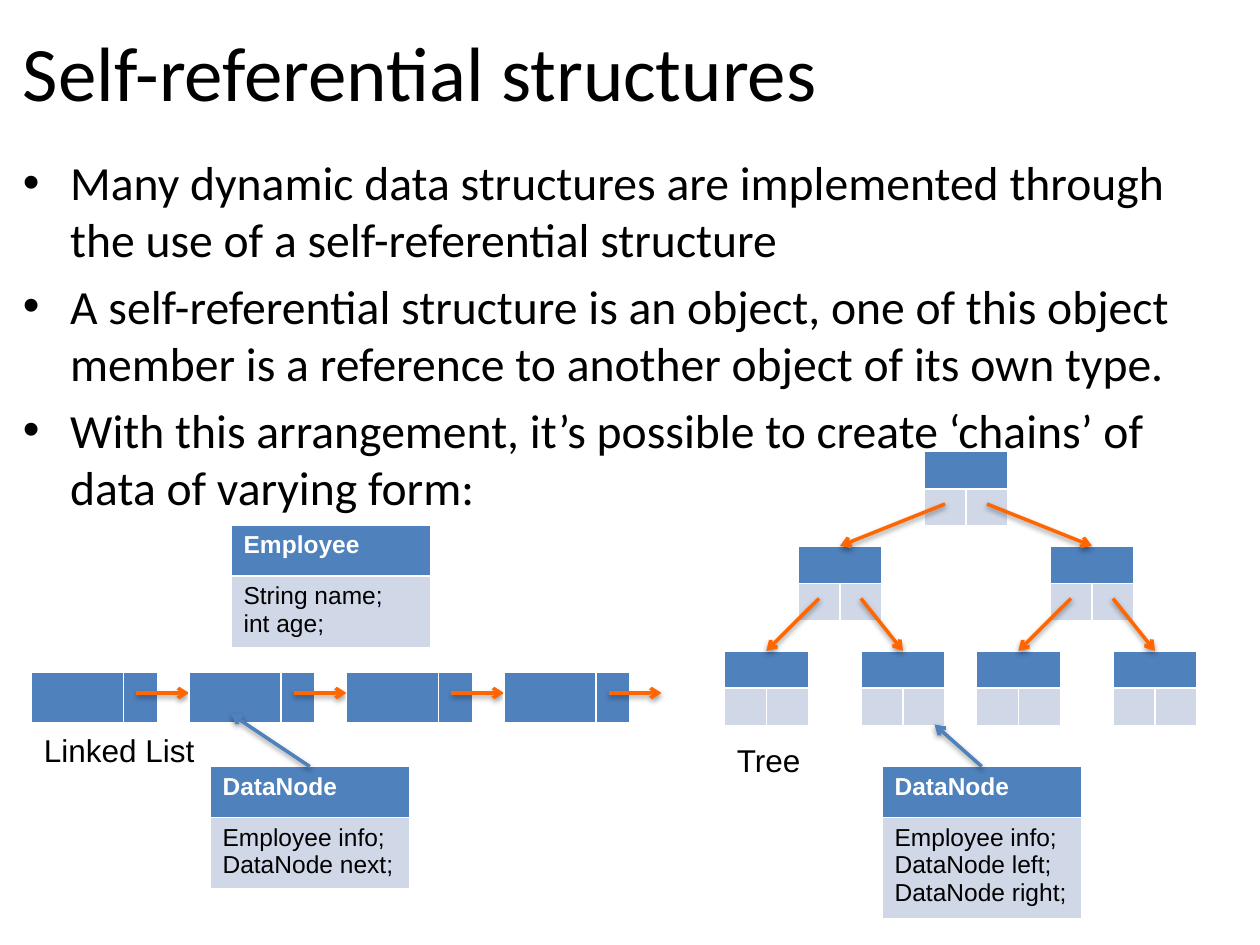
from lxml.etree import SubElement
from pptx import Presentation
from pptx.dml.color import RGBColor
from pptx.enum.shapes import MSO_CONNECTOR
from pptx.enum.text import MSO_ANCHOR
from pptx.oxml.ns import qn
from pptx.util import Pt

COLORS = {"blue": "4F81BD", "pale": "D0D8E8", "orange": "FF6600",
          "black": "000000", "white": "FFFFFF"}
HEAD = 29.25
POINTS = [
    "Many dynamic data structures are implemented through the use of a "
    "self-referential structure",
    "A self-referential structure is an object, one of this object member "
    "is a reference to another object of its own type.",
    "With this arrangement, it’s possible to create ‘chains’ of data of "
    "varying form:",
]


def color(name):
    return RGBColor.from_string(COLORS[name])


def style(para, size, face, tone="black", bold=False):
    font = para.font
    font.size, font.name, font.bold = Pt(size), face, bold
    font.color.rgb = color(tone)


def add_text(slide, box, lines, size, face, wrap=True):
    frame = slide.shapes.add_textbox(*map(Pt, box)).text_frame
    frame.word_wrap = wrap
    frame.text = "\n".join(lines)
    for para in frame.paragraphs:
        style(para, size, face)
    return frame


def add_bullets(slide, box):
    frame = add_text(slide, box, POINTS, 27.2, "Calibri")
    for para in frame.paragraphs:
        para.space_before = Pt(5.4)
        props = para._p.get_or_add_pPr()
        props.set("marL", str(Pt(27)))
        props.set("indent", str(-Pt(27)))
        font = SubElement(props, qn("a:buFont"), typeface="Arial")
        mark = SubElement(props, qn("a:buChar"), char="•")
        props.find(qn("a:defRPr")).addprevious(font)
        font.addnext(mark)


def add_grid(slide, x, y, cols, rows):
    """Add a table with a blue first row and pale rows below it."""
    table = slide.shapes.add_table(
        len(rows), len(cols), Pt(x), Pt(y), Pt(sum(cols)), Pt(sum(rows))).table
    for col, width in zip(table.columns, cols):
        col.width = Pt(width)
    for r, height in enumerate(rows):
        table.rows[r].height = Pt(height)
        for cell in table.rows[r].cells:
            cell.fill.solid()
            cell.fill.fore_color.rgb = color("pale" if r else "blue")
            # Small empty text keeps the row from growing
            SubElement(cell.text_frame.paragraphs[0]._p,
                       qn("a:endParaRPr"), sz="800")
    return table


def add_class(slide, x, y, name, fields):
    rows = [HEAD, 7.5 + 16.5 * len(fields)]
    table = add_grid(slide, x, y, [114], rows)
    for r, lines in enumerate([[name], fields]):
        frame = table.cell(r, 0).text_frame
        frame.text = "\n".join(lines)
        for para in frame.paragraphs:
            style(para, 14, "Arial", "black" if r else "white", not r)


def add_arrow(slide, start, end, tone="orange"):
    line = slide.shapes.add_connector(
        MSO_CONNECTOR.STRAIGHT, *map(Pt, (*start, *end)))
    line.line.width = Pt(2)
    line.line.color.rgb = color(tone)
    SubElement(line.line._get_or_add_ln(), qn("a:tailEnd"), type="arrow")
    effects = SubElement(line._element.spPr, qn("a:effectLst"))
    shadow = SubElement(effects, qn("a:outerShdw"), blurRad="40000",
                        dist="20000", dir="5400000", rotWithShape="0")
    tint = SubElement(shadow, qn("a:srgbClr"), val=COLORS["black"])
    SubElement(tint, qn("a:alpha"), val="38000")


def add_list(slide, x, y, count):
    for left in (x + 90 * i for i in range(count)):
        add_grid(slide, left, y, [52.5, 19.5], [HEAD])
        add_arrow(slide, (left + 60, y + 12), (left + 90, y + 12))
    add_text(slide, (x, y + 30, 101.5, 29), ["Linked List"], 18, "Arial", False)
    add_class(slide, x + 102, y + 54, "DataNode",
              ["Employee info;", "DataNode next;"])
    add_arrow(slide, (x + 159, y + 54), (x + 114, y + 24), "blue")


def add_node(slide, x, y, levels):
    """Add a node and, below it, the children for each further level."""
    table = add_grid(slide, x, y, [24, 24], [21.3, 21.3])
    table.cell(0, 0).merge(table.cell(0, 1))
    if not levels:
        return
    drop, *shifts = levels[0]
    for side, shift in enumerate(shifts):
        add_node(slide, x + shift, y + drop, levels[1:])
        add_arrow(slide, (x + 12 + 24 * side, y + 30),
                  (x + shift + 24, y + drop))


def add_tree(slide, x, y):
    add_node(slide, x, y, [(54, -72, 72), (60, -42, 36)])
    add_class(slide, x - 24, y + 180, "DataNode",
              ["Employee info;", "DataNode left;", "DataNode right;"])
    add_arrow(slide, (x + 33, y + 180), (x + 6, y + 156), "blue")
    add_text(slide, (x - 114, y + 162, 51, 29), ["Tree"], 18, "Arial", False)


def main():
    deck = Presentation()
    deck.slide_width, deck.slide_height = Pt(720), Pt(540)
    slide = deck.slides.add_slide(deck.slide_layouts[6])
    title = add_text(slide, (6, 6, 702, 68.4),
                     ["Self-referential structures"], 44, "Calibri")
    title.vertical_anchor = MSO_ANCHOR.MIDDLE
    add_bullets(slide, (6, 84, 702, 210))
    add_class(slide, 132, 300, "Employee", ["String name;", "int age;"])
    add_list(slide, 18, 384, 4)
    add_tree(slide, 528, 258)
    deck.save("out.pptx")


if __name__ == "__main__":
    main()
